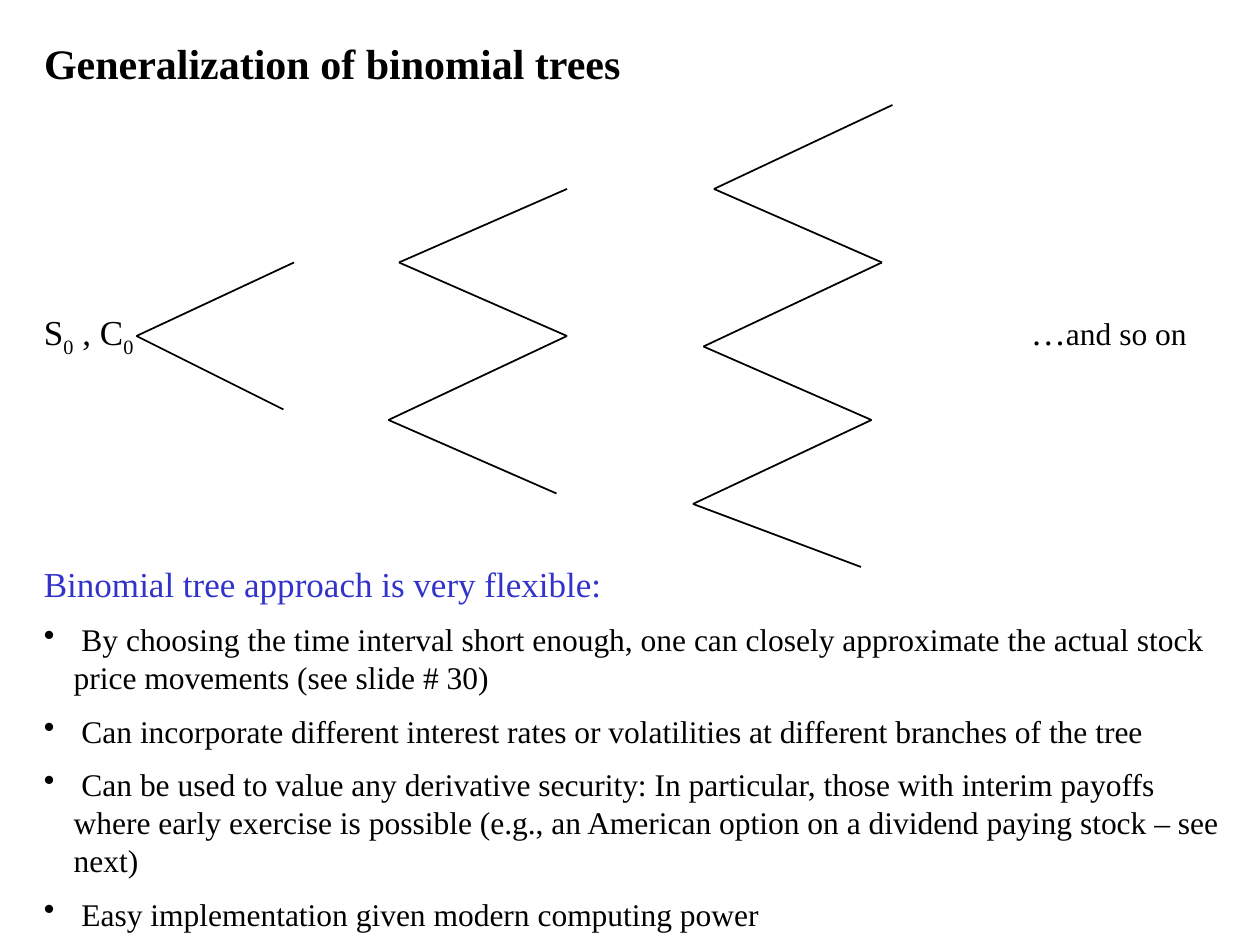
"""Build the slide on the generalization of binomial trees."""
from dataclasses import dataclass

import lxml.etree
import pptx
import pptx.dml.color
import pptx.enum.shapes
import pptx.enum.text
import pptx.oxml.ns
import pptx.util

BLACK = pptx.dml.color.RGBColor(0x00, 0x00, 0x00)
BLUE = pptx.dml.color.RGBColor(0x33, 0x33, 0xCC)
GRID_CM = 25.4 / 120
HANGING = pptx.util.Cm(0.6)


@dataclass(frozen=True)
class Fork:
    """A tree node and the ends of its two branches, in grid steps."""
    node: tuple[int, int]
    up: tuple[int, int]
    down: tuple[int, int]


@dataclass(frozen=True)
class Phrase:
    """A piece of text in one format."""
    text: str
    size: int
    color: pptx.dml.color.RGBColor = BLACK
    bold: bool = False
    subscript: bool = False


@dataclass(frozen=True)
class Line:
    """A paragraph made of phrases."""
    phrases: tuple[Phrase, ...]
    bullet: bool = False


@dataclass(frozen=True)
class Note:
    """A text box placed in grid steps."""
    box: tuple[float, float, float, float]
    lines: tuple[Line, ...]


FORKS = (
    Fork((13, 32), (28, 25), (27, 39)),
    Fork((38, 25), (54, 18), (54, 32)),
    Fork((37, 40), (54, 32), (53, 47)),
    Fork((66, 48), (83, 40), (82, 54)),
    Fork((67, 33), (84, 25), (83, 40)),
    Fork((68, 18), (85, 10), (84, 25)),
)
TITLE = Note((3, 3, 114, 6), (
    Line((Phrase("Generalization of binomial trees", 24, bold=True),)),
))
ADVANTAGES = (
    " By choosing the time interval short enough, one can closely approximate "
    "the actual stock price movements (see slide # 30)",
    " Can incorporate different interest rates or volatilities at different "
    "branches of the tree",
    " Can be used to value any derivative security: In particular, those with "
    "interim payoffs where early exercise is possible (e.g., an American option "
    "on a dividend paying stock – see next)",
    " Easy implementation given modern computing power",
)
NOTES = (
    Note((3, 29, 14, 5.2), (Line((
        Phrase("S", 20), Phrase("0", 20, subscript=True),
        Phrase(" , C", 20), Phrase("0", 20, subscript=True),
    )),)),
    Note((97, 29, 21, 5.2), (Line((Phrase("…", 20), Phrase("and so on", 18))),)),
    Note((3, 53, 115, 34), (
        Line((Phrase("Binomial tree approach is very flexible:", 20, BLUE),)),
        *(Line((Phrase(advantage, 18),), bullet=True) for advantage in ADVANTAGES),
    )),
)


def grid(steps: float) -> pptx.util.Length:
    return pptx.util.Cm(steps * GRID_CM)


def apply(target: object, formats: dict[str, object]) -> None:
    for attribute, value in formats.items():
        setattr(target, attribute, value)


def write_line(paragraph, line: Line, first: bool) -> None:
    if line.bullet:
        properties = paragraph._p.get_or_add_pPr()
        properties.set("marL", str(HANGING))
        properties.set("indent", str(-HANGING))
        bullet = lxml.etree.SubElement(properties, pptx.oxml.ns.qn("a:buChar"))
        bullet.set("char", "•")
    apply(paragraph, {
        "alignment": pptx.enum.text.PP_ALIGN.LEFT,
        "space_before": pptx.util.Pt(0 if first else 9),
    })
    for phrase in line.phrases:
        run = paragraph.add_run()
        run.text = phrase.text
        apply(run.font, {
            "name": "Times New Roman",
            "size": pptx.util.Pt(phrase.size),
            "bold": phrase.bold,
        })
        run.font.color.rgb = phrase.color
        if phrase.subscript:
            run._r.get_or_add_rPr().set("baseline", "-25000")


def write_note(shape, note: Note, fit: pptx.enum.text.MSO_AUTO_SIZE) -> None:
    apply(shape, dict(zip(("left", "top", "width", "height"), map(grid, note.box))))
    apply(shape.text_frame, {
        "word_wrap": True,
        "auto_size": fit,
        "vertical_anchor": pptx.enum.text.MSO_ANCHOR.TOP,
    })
    for index, line in enumerate(note.lines):
        frame = shape.text_frame
        paragraph = frame.add_paragraph() if index else frame.paragraphs[0]
        write_line(paragraph, line, first=index == 0)


def draw_fork(slide, fork: Fork) -> None:
    for end in (fork.up, fork.down):
        branch = slide.shapes.add_connector(
            pptx.enum.shapes.MSO_CONNECTOR.STRAIGHT, *map(grid, (*fork.node, *end)))
        branch.line.color.rgb = BLACK
        branch.line.width = pptx.util.Pt(1)
        lxml.etree.SubElement(
            branch._element.spPr, pptx.oxml.ns.qn("a:effectLst"))


def main() -> None:
    deck = pptx.Presentation()
    apply(deck, {
        "slide_width": pptx.util.Cm(25.4),
        "slide_height": pptx.util.Cm(19.05),
    })
    slide = deck.slides.add_slide(deck.slide_layouts.get_by_name("Title Only"))
    write_note(slide.shapes.title, TITLE, pptx.enum.text.MSO_AUTO_SIZE.NONE)
    for fork in FORKS:
        draw_fork(slide, fork)
    for note in NOTES:
        textbox = slide.shapes.add_textbox(*map(grid, note.box))
        write_note(textbox, note, pptx.enum.text.MSO_AUTO_SIZE.SHAPE_TO_FIT_TEXT)
    deck.save("out.pptx")


if __name__ == "__main__":
    main()
